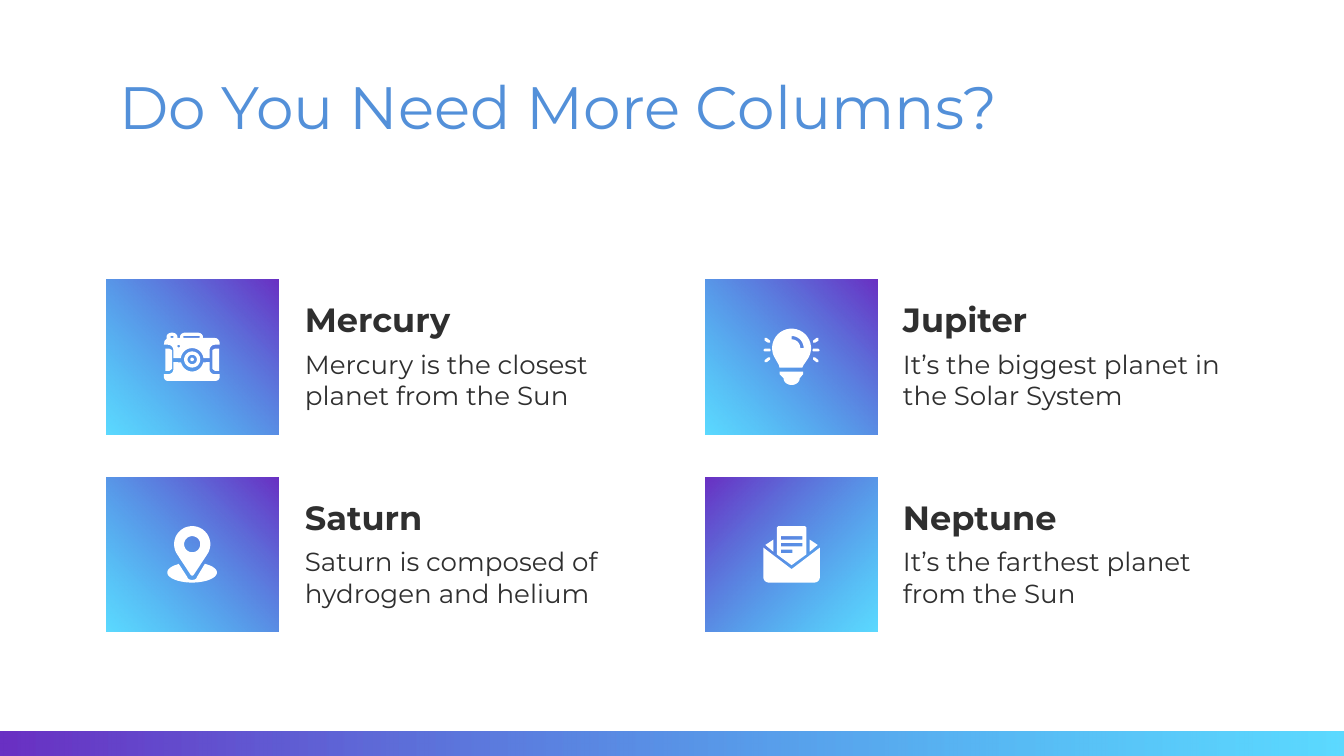
import math

import pptx
import pptx.dml.color
import pptx.enum.shapes
import pptx.enum.text
import pptx.oxml
import pptx.oxml.ns
import pptx.util

Inches = pptx.util.Inches
RGB = pptx.dml.color.RGBColor.from_string

THEME = {
    "font": "Montserrat", "title": "5390D9", "text": "2F2F2F", "icon": "FFFFFF",
    "grad": (("6930C3", 100), ("00C4FF", 64)),  # colour, opacity in percent
    "title_pt": 32, "head_pt": 18, "body_pt": 14,
}


# Outline helpers, in hundredths of an inch from the tile centre
def arc(cx, cy, rx, ry, start, end):
    n = max(4, math.ceil(abs(end - start) / 10))
    angles = [math.radians(start + (end - start) * i / n) for i in range(n + 1)]
    return [(cx + rx * math.cos(a), cy + ry * math.sin(a)) for a in angles]


def circle(cx, cy, r):
    return arc(cx, cy, r, r, 0, 360)


def box(left, top, right, bottom):
    return [(left, top), (right, top), (right, bottom), (left, bottom)]


def mirror(outline):
    return [(-x, y) for x, y in outline]


# Each icon is a list of parts; a part is an outline followed by its holes
CAMERA_SIDE = [(20, -6), (17, -6), (15, -5), (15, 9), (17, 10.5), (20, 10.5)]
CAMERA = [
    [[(-21, -9), (-20.5, -12), (-19, -13.5), (-19, -15)] + arc(-15, -15, 4, 3, 180, 360)
     + [(-11, -14), (-9, -14)] + arc(-5, -15, 4, 3, 180, 270) + arc(4, -15, 4, 3, 270, 360)
     + [(8, -14)] + arc(17, -10, 3.5, 4, 270, 360)
     + [(20.5, -9), (17, -9)] + arc(17, -5, 4, 4, 270, 180)
     + [(13, 1)] + arc(0, 2, 8.5, 8.5, 353, 187)
     + [(-14, 1)] + arc(-18, -5, 4, 4, 0, -90),
     box(-16, -15.5, -14, -14), box(-6.5, -15.5, 5.5, -14), circle(-10, -8, 1)],
    [CAMERA_SIDE], [mirror(CAMERA_SIDE)],
    [circle(0, 2, 6), circle(0, 2, 3.5)], [circle(0, 2, 1.3)],
    [[(-14, 4)] + arc(-18, 9.5, 4, 3.5, 0, 90) + [(-21, 13)]
     + arc(-18, 15, 3, 3, 180, 90) + arc(17, 15, 3.5, 3, 90, 0)
     + [(20.5, 13)] + arc(17, 9.5, 4, 3.5, 90, 180)
     + [(13, 4)] + arc(0, 2, 8.5, 9, 14, 166)],
]
RAYS = [
    [(16, -6), (20, -6), (21, -5), (20, -4), (16, -4), (15.5, -5)],
    [(16, -12), (18.5, -14), (20, -14), (20, -12), (17.5, -10.5), (16, -10.5)],
    [(16, 2), (16, 0.5), (17.5, 0.5), (20, 2.5), (20, 4), (18.5, 4)],
]
BULB = [
    [[(-9, 11), (8.5, 11), (8.5, 13)] + arc(0, 16, 6, 5, 0, 180) + [(-9, 13)]],
    [arc(0, -6.5, 14.5, 14.5, 145, 395) + [(9, 6), (8, 8), (-9, 8), (-9.5, 6)],
     arc(0, -6.5, 9, 9, -90, 0) + arc(0, -6.5, 6.5, 6.5, 0, -90)],
] + [[shape(ray)] for ray in RAYS for shape in (list, mirror)]
PIN = [
    [arc(0, -7.5, 13.5, 13.5, 145, 395) + [(1, 15.5), (0, 16), (-1, 15.5)],
     circle(0, -7.5, 6)],
    [[(-10, 7)] + arc(0, 17, 3.5, 2, 180, 0) + [(9.5, 7)]
     + arc(0, 13.5, 18.5, 7.5, -55, 235)],
]
FLAP = [(13.5, -11), (19.5, -7), (13.5, -2)]
ENVELOPE = [
    [[(-21, -5), (0, 11), (21, -5)] + arc(17, 17, 4, 4, 0, 90) + arc(-17, 17, 4, 4, 90, 180)],
    [FLAP], [mirror(FLAP)],
    [[(-11, -20), (-10, -21), (10, -21), (11, -20), (11, 0), (0, 8), (-11, 0)],
     box(-8, -13.5, 8, -11), box(-8, -8.5, 8, -6), box(-8, -3.5, 0.5, -1)],
]

TITLE = "Do You Need More Columns?"
# column, row, heading, text, icon, corner where the gradient starts
ITEMS = [
    (0, 0, "Mercury", "Mercury is the closest planet from the Sun", CAMERA, "right"),
    (1, 0, "Jupiter", "It’s the biggest planet in the Solar System", BULB, "right"),
    (0, 1, "Saturn", "Saturn is composed of hydrogen and helium", PIN, "right"),
    (1, 1, "Neptune", "It’s the farthest planet from the Sun", ENVELOPE, "left"),
]
TILE_X, TILE_Y, TILE_W, TILE_H = 0.79, 2.08, 1.28, 1.15
TEXT_X, TEXT_W = 2.17, 2.59
TILE_STEP, TEXT_STEP, ROW_STEP = 4.46, 4.45, 1.47


def add_gradient_box(slide, left, top, width, height, direction):
    sp = slide.shapes.add_shape(pptx.enum.shapes.MSO_SHAPE.RECTANGLE, Inches(left),
                                Inches(top), Inches(width), Inches(height))
    sp.shadow.inherit = False
    sp.line.fill.background()
    sp.fill.background()
    stops = "".join(
        f'<a:gs pos="{i * 100000}"><a:srgbClr val="{color}">'
        f'<a:alpha val="{opacity * 1000}"/></a:srgbClr></a:gs>'
        for i, (color, opacity) in enumerate(THEME["grad"]))
    grad = pptx.oxml.parse_xml(
        f'<a:gradFill {pptx.oxml.ns.nsdecls("a")} rotWithShape="1">'
        f'<a:gsLst>{stops}</a:gsLst>{direction}</a:gradFill>')
    sp_pr = sp._element.spPr
    sp_pr.replace(sp_pr.find(pptx.oxml.ns.qn("a:noFill")), grad)


def corner_gradient(side):
    l, r = (100000, 0) if side == "right" else (0, 100000)
    return (f'<a:path path="circle"><a:fillToRect l="{l}" t="0" r="{r}" b="100000"/>'
            '</a:path>')


def add_text(slide, text, left, top, width, height, size, color, bold=False, middle=False):
    tf = slide.shapes.add_textbox(Inches(left), Inches(top), Inches(width),
                                  Inches(height)).text_frame
    tf.word_wrap = True
    tf.margin_left = tf.margin_right = tf.margin_top = tf.margin_bottom = Inches(0.1)
    anchor = pptx.enum.text.MSO_ANCHOR
    tf.vertical_anchor = anchor.MIDDLE if middle else anchor.TOP
    tf.text = text
    font = tf.paragraphs[0].runs[0].font
    font.name, font.size, font.bold = THEME["font"], pptx.util.Pt(size), bold
    font.color.rgb = RGB(color)


def add_icon(slide, parts, cx, cy):
    group = slide.shapes.add_group_shape()
    for outlines in parts:
        contours = [[(Inches(cx + x / 100), Inches(cy + y / 100)) for x, y in outline]
                    for outline in outlines]
        builder = group.shapes.build_freeform(*contours[0][0])
        for i, points in enumerate(contours):
            if i:
                builder.move_to(*points[0])
            builder.add_line_segments(points[1:], close=True)
        sp = builder.convert_to_shape()
        sp.shadow.inherit = False
        sp.fill.solid()
        sp.fill.fore_color.rgb = RGB(THEME["icon"])
        sp.line.fill.background()


def main():
    prs = pptx.Presentation()
    prs.slide_width = Inches(10)
    prs.slide_height = prs.slide_width * 9 // 16
    slide = prs.slides.add_slide(prs.slide_layouts[6])

    # Bottom bar and title
    add_gradient_box(slide, 0, 5.44, 10, 0.19, '<a:lin ang="0" scaled="0"/>')
    add_text(slide, TITLE, 0.79, 0.42, 8.43, 0.67, THEME["title_pt"], THEME["title"])

    # Planet grid: tile, icon, heading and text
    for col, row, heading, body, icon, side in ITEMS:
        x, y = TILE_X + col * TILE_STEP, TILE_Y + row * ROW_STEP
        text_x = TEXT_X + col * TEXT_STEP
        add_gradient_box(slide, x, y, TILE_W, TILE_H, corner_gradient(side))
        add_icon(slide, icon, x + TILE_W / 2, y + TILE_H / 2)
        add_text(slide, heading, text_x, y + 0.09, TEXT_W, 0.41,
                 THEME["head_pt"], THEME["text"], bold=True, middle=True)
        add_text(slide, body, text_x, y + 0.41, TEXT_W, 0.67,
                 THEME["body_pt"], THEME["text"])

    prs.save("out.pptx")


if __name__ == "__main__":
    main()
